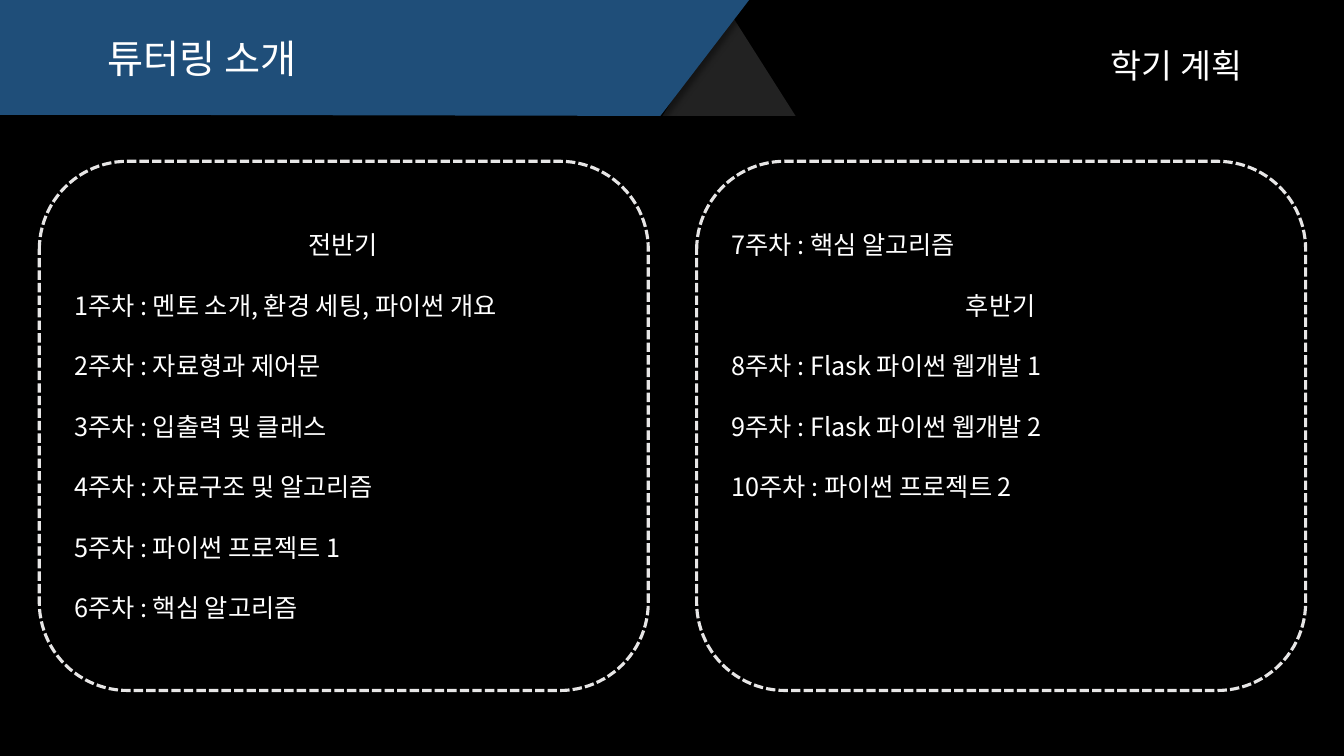
from lxml.etree import SubElement
from pptx import Presentation
from pptx.dml.color import RGBColor
from pptx.enum.dml import MSO_LINE
from pptx.enum.shapes import MSO_SHAPE
from pptx.enum.text import MSO_ANCHOR, PP_ALIGN
from pptx.oxml.ns import qn
from pptx.util import Inches, Pt

BLACK = RGBColor(0x00, 0x00, 0x00)
WHITE = RGBColor(0xFF, 0xFF, 0xFF)
BLUE = RGBColor(0x1F, 0x4E, 0x79)
DARK = RGBColor(0x22, 0x22, 0x22)
PALE = RGBColor(0xE7, 0xE6, 0xE6)
FONT = "Noto Sans CJK KR"

BANNER = [(0, 0), (7.43, 0), (6.55, 1.15), (1.55, 1.14), (0, 1.14)]
HEADS = ("전반기", "후반기")
PANELS = [
    (0.39, [
        "전반기",
        "1주차 : 멘토 소개, 환경 세팅, 파이썬 개요",
        "2주차 : 자료형과 제어문",
        "3주차 : 입출력 및 클래스",
        "4주차 : 자료구조 및 알고리즘",
        "5주차 : 파이썬 프로젝트 1",
        "6주차 : 핵심 알고리즘",
    ]),
    (6.91, [
        "7주차 : 핵심 알고리즘",
        "후반기",
        "8주차 : Flask 파이썬 웹개발 1",
        "9주차 : Flask 파이썬 웹개발 2",
        "10주차 : 파이썬 프로젝트 2",
    ]),
]


def assign(item, values):
    """Set each attribute in values on item."""
    for name, value in values.items():
        setattr(item, name, value)


def place(shape, left, top, width, height):
    """Position a shape, in inches."""
    names = ("left", "top", "width", "height")
    sizes = map(Inches, (left, top, width, height))
    assign(shape, dict(zip(names, sizes)))


def write(para, text, size, align=PP_ALIGN.LEFT):
    """Fill a paragraph with one white run."""
    para.alignment = align
    run = para.add_run()
    run.text = text
    assign(run.font, {"name": FONT, "size": Pt(size)})
    run.font.color.rgb = WHITE
    SubElement(run.font._element, qn("a:ea"), typeface=FONT)


def paint(shape, color, angle):
    """Give a shape a plain fill and a soft shadow."""
    shape.fill.solid()
    shape.fill.fore_color.rgb = color
    shape.line.fill.background()
    shape.shadow.inherit = False
    effects = shape.element.spPr.find(qn("a:effectLst"))
    shade = SubElement(effects, qn("a:outerShdw"), blurRad=str(Pt(4)),
                       dist=str(Pt(3)), dir=str(angle * 60000), rotWithShape="0")
    tint = SubElement(shade, qn("a:srgbClr"), val=str(BLACK))
    SubElement(tint, qn("a:alpha"), val="40000")


def add_banner(slide):
    """Draw the dark triangle and the slanted band over it."""
    box = map(Inches, (6.57, 0.11, 1.32, 1.04))
    peak = slide.shapes.add_shape(MSO_SHAPE.ISOSCELES_TRIANGLE, *box)
    paint(peak, DARK, 315)
    points = [(Inches(x), Inches(y)) for x, y in BANNER]
    outline = slide.shapes.build_freeform(*points[0])
    outline.add_line_segments(points[1:], close=True)
    paint(outline.convert_to_shape(), BLUE, 45)


def add_title(slide, text):
    """Move the title onto the band."""
    title = slide.shapes.title
    place(title, 0.97, 0.29, 2.3, 0.57)
    title.element.getparent().append(title.element)
    frame = title.text_frame
    assign(frame, {"word_wrap": False, "vertical_anchor": MSO_ANCHOR.MIDDLE})
    write(frame.paragraphs[0], text, 28)


def add_label(slide, text):
    """Add the section name at the top right."""
    box = slide.shapes.add_textbox(*map(Inches, (10.92, 0.39, 1.99, 0.51)))
    frame = box.text_frame
    assign(frame, {"word_wrap": True, "vertical_anchor": MSO_ANCHOR.MIDDLE})
    write(frame.paragraphs[0], text, 24)


def add_panel(slide, left, lines):
    """Add a dashed panel listing the weeks."""
    box = map(Inches, (left, 1.6, 6.04, 5.25))
    panel = slide.shapes.add_shape(MSO_SHAPE.ROUNDED_RECTANGLE, *box)
    panel.shadow.inherit = False
    panel.fill.background()
    panel.line.color.rgb = PALE
    assign(panel.line, {"width": Pt(2.25), "dash_style": MSO_LINE.SQUARE_DOT})
    frame = panel.text_frame
    assign(frame, {"word_wrap": True, "vertical_anchor": MSO_ANCHOR.TOP,
                   "margin_top": Inches(0.42), "margin_left": Inches(0.09)})
    for index, line in enumerate(lines):
        para = frame.add_paragraph() if index else frame.paragraphs[0]
        para.space_before = Pt(21.6 if index else 0)
        align = PP_ALIGN.CENTER if line in HEADS else PP_ALIGN.LEFT
        write(para, line, 18, align)


def main():
    """Build and save the semester plan slide."""
    deck = Presentation()
    assign(deck, {"slide_width": Inches(13.33), "slide_height": Inches(7.5)})
    slide = deck.slides.add_slide(deck.slide_layouts[5])
    slide.background.fill.solid()
    slide.background.fill.fore_color.rgb = BLACK
    add_banner(slide)
    add_title(slide, "튜터링 소개")
    add_label(slide, "학기 계획")
    for left, lines in PANELS:
        add_panel(slide, left, lines)
    deck.save("out.pptx")


if __name__ == "__main__":
    main()
